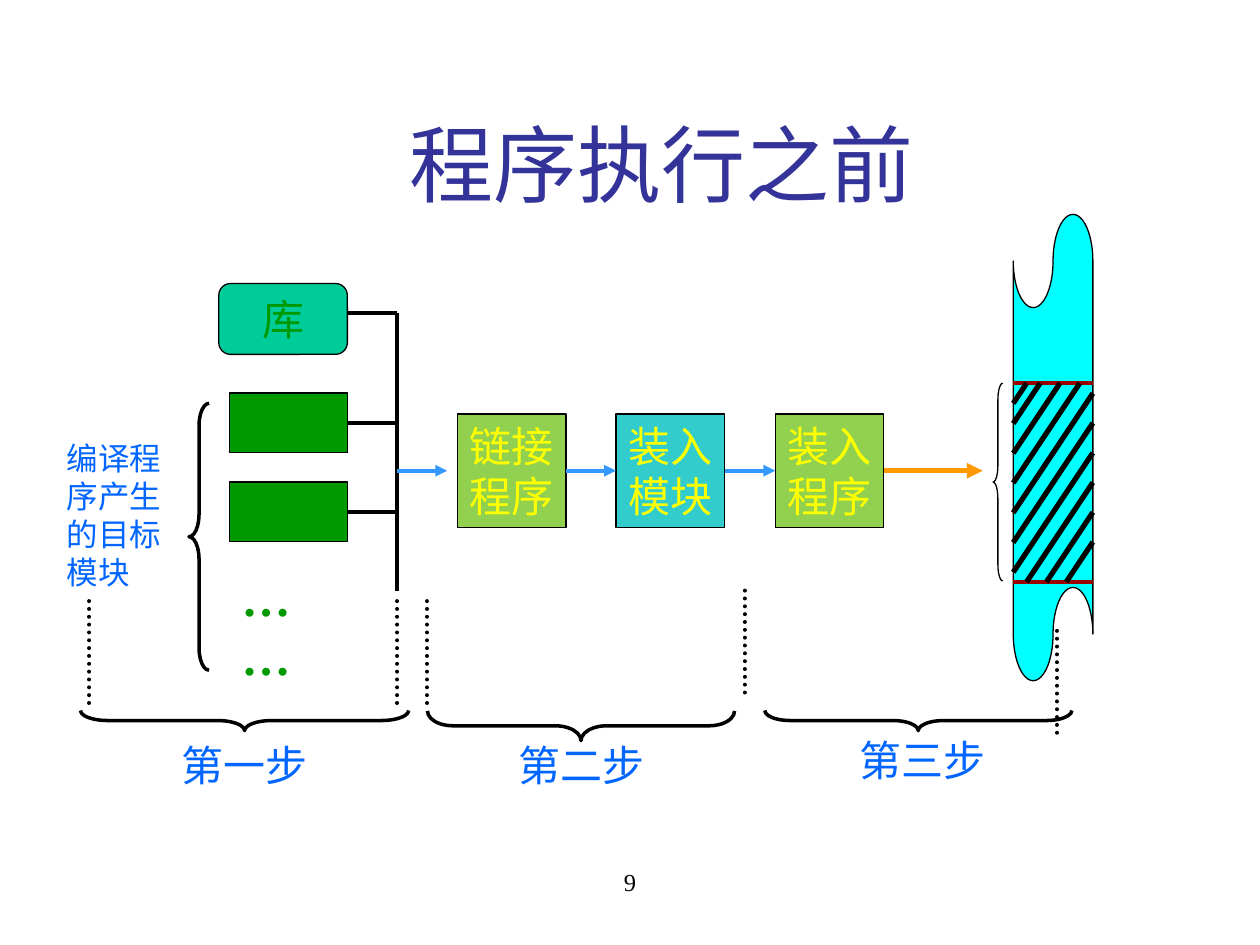
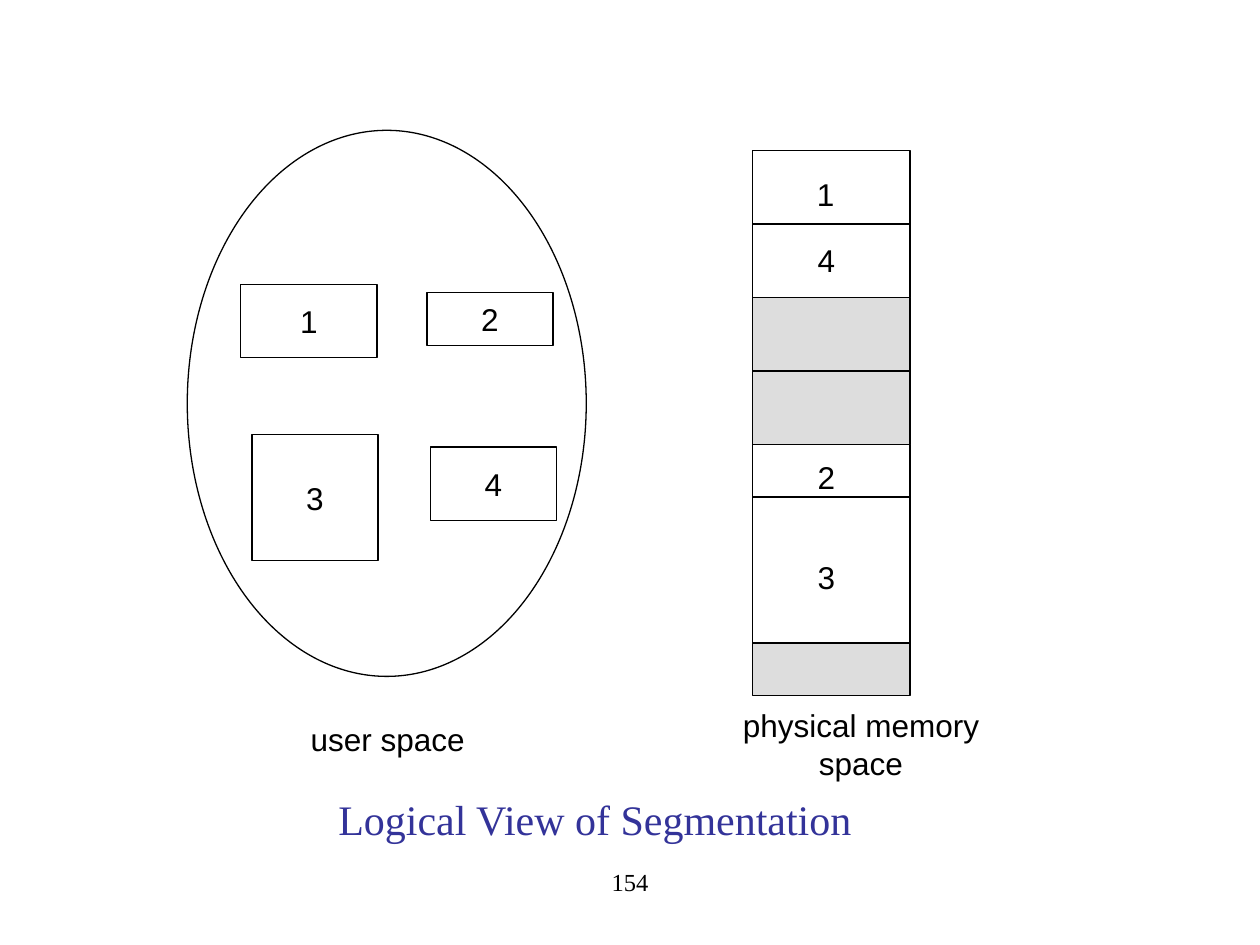
from lxml import etree
from pptx import Presentation
from pptx.dml.color import RGBColor
from pptx.enum.dml import MSO_LINE
from pptx.enum.shapes import MSO_CONNECTOR, MSO_SHAPE
from pptx.enum.text import MSO_ANCHOR, PP_ALIGN
from pptx.oxml.ns import qn
from pptx.util import Pt

RECTANGLE = MSO_SHAPE.RECTANGLE
ROUNDED = MSO_SHAPE.ROUNDED_RECTANGLE
ELLIPSE = MSO_SHAPE.OVAL
TAPE = MSO_SHAPE.FLOWCHART_PUNCHED_TAPE
BRACE = MSO_SHAPE.LEFT_BRACE
STRAIGHT = MSO_CONNECTOR.STRAIGHT
DOTTED = MSO_LINE.ROUND_DOT
LEFT, CENTER = PP_ALIGN.LEFT, PP_ALIGN.CENTER
TOP, MIDDLE = MSO_ANCHOR.TOP, MSO_ANCHOR.MIDDLE
SERIF, SANS, CHINESE = "Times New Roman", "Arial", "Noto Sans CJK SC"

COLORS = {
    "title": "333399",
    "black": "000000",
    "white": "FFFFFF",
    "grey": "DDDDDD",
    "library": "00CC99",
    "object": "009900",
    "program": "92D050",
    "module": "33CCCC",
    "yellow": "FFFF00",
    "memory": "00FFFF",
    "border": "990000",
    "flow": "3399FF",
    "load": "FF9900",
    "label": "0066FF",
}


def write_text(frame, text, size=18, color="black", font=SERIF, bold=False,
               align=CENTER, anchor=MIDDLE, wrap=False):
    frame.word_wrap = wrap
    frame.vertical_anchor = anchor
    frame.margin_left = frame.margin_right = Pt(7.2)
    frame.margin_top = frame.margin_bottom = Pt(3.6)
    frame.text = text
    for paragraph in frame.paragraphs:
        paragraph.alignment = align
        for run in paragraph.runs:
            run.font.name = font
            run.font.size = Pt(size)
            run.font.bold = bold
            run.font.color.rgb = RGBColor.from_string(COLORS[color])


def draw_line(slide, x1, y1, x2, y2, color="black", width=2.25, arrow=False, dotted=False):
    connector = slide.shapes.add_connector(STRAIGHT, Pt(x1), Pt(y1), Pt(x2), Pt(y2))
    connector.line.color.rgb = RGBColor.from_string(COLORS[color])
    connector.line.width = Pt(width)
    properties = connector.line._get_or_add_ln()
    if dotted:
        connector.line.dash_style = DOTTED
        properties.set("cap", "rnd")
    if arrow:
        etree.SubElement(properties, qn("a:tailEnd"), type="triangle")
    etree.SubElement(connector._element.spPr, qn("a:effectLst"))
    return connector


presentation = Presentation()
presentation.slide_width = Pt(720)
presentation.slide_height = Pt(540)
title_layout = presentation.slide_layouts[5]

slides = []
for title, left, top, height, size, font, number in [
    ("程序执行之前", 72, 48, 90, 48, CHINESE, "9"),
    ("Logical View of Segmentation", 34, 440.5, 55, 24, SERIF, "154"),
]:
    slide = presentation.slides.add_slide(title_layout)
    heading = slide.shapes.title
    heading.left, heading.top = Pt(left), Pt(top)
    heading.width, heading.height = Pt(612), Pt(height)
    write_text(heading.text_frame, title, size=size, color="title", font=font, wrap=True)
    footer = slide.shapes.add_textbox(Pt(246), Pt(492), Pt(228), Pt(36))
    write_text(footer.text_frame, number, size=14, anchor=TOP, wrap=True)
    slides.append(slide)
steps, segments = slides

memory_left, memory_width = 579, 45.5
column_left, column_width = 430, 90
program_text = {"size": 24, "color": "yellow"}
segment_text = {"font": SANS}

blocks = {}
for slide, name, kind, left, top, width, height, fill, text, text_format in [
    (steps, "library", ROUNDED, 125, 162, 73.5, 40.5, "library", "库", {"size": 24, "color": "object"}),
    (steps, "first object", RECTANGLE, 131, 224.5, 67.5, 34, "object", "", {}),
    (steps, "second object", RECTANGLE, 131, 275.5, 67.5, 34, "object", "", {}),
    (steps, "linker", RECTANGLE, 261.5, 236.5, 62, 65, "program", "链接\n程序", program_text),
    (steps, "load module", RECTANGLE, 352, 236.5, 62, 65, "module", "装入\n模块", program_text),
    (steps, "loader", RECTANGLE, 443, 236.5, 62, 65, "program", "装入\n程序", program_text),
    (steps, "memory", TAPE, memory_left, 122.5, memory_width, 266.5, "memory", "", {}),
    (segments, "user space", ELLIPSE, 107, 74.5, 228, 312, "white", "", {}),
    (segments, "segment 1", RECTANGLE, 137.5, 162.5, 78, 42, "white", "1", segment_text),
    (segments, "segment 2", RECTANGLE, 244, 167, 72, 30.5, "white", "2", segment_text),
    (segments, "segment 3", RECTANGLE, 144, 248.5, 72, 72, "white", "3", segment_text),
    (segments, "segment 4", RECTANGLE, 246, 255.5, 72, 42, "white", "4", segment_text),
    (segments, "upper used", RECTANGLE, column_left, 86, column_width, 84, "white", "", {}),
    (segments, "upper free", RECTANGLE, column_left, 170, column_width, 84, "grey", "", {}),
    (segments, "lower used", RECTANGLE, column_left, 254, column_width, 113.5, "white", "", {}),
    (segments, "lower free", RECTANGLE, column_left, 367.5, column_width, 30, "grey", "", {}),
]:
    shape = slide.shapes.add_shape(kind, Pt(left), Pt(top), Pt(width), Pt(height))
    shape.shadow.inherit = False
    shape.fill.solid()
    shape.fill.fore_color.rgb = RGBColor.from_string(COLORS[fill])
    shape.line.color.rgb = RGBColor.from_string(COLORS["black"])
    shape.line.width = Pt(0.75)
    if text:
        write_text(shape.text_frame, text, **text_format)
    blocks[name] = shape

for left, top, width, height, rotation, line_width in [
    (108, 230.5, 11.5, 152.5, 0, 2),
    (134, 318, 11.5, 187.5, 270, 2),
    (323.5, 327, 17, 175.5, 270, 2),
    (519, 324, 11.5, 175.5, 270, 2),
    (567.5, 219, 5.5, 113, 0, 0.75),
]:
    brace = steps.shapes.add_shape(BRACE, Pt(left), Pt(top), Pt(width), Pt(height))
    brace.adjustments[0] = height / 12 / width
    brace.rotation = rotation
    brace.shadow.inherit = False
    brace.fill.background()
    brace.line.color.rgb = RGBColor.from_string(COLORS["black"])
    brace.line.width = Pt(line_width)

bus_x, flow_y = 227, 269
draw_line(steps, bus_x, 179, bus_x, 338)
draw_line(steps, 198.5, 179, bus_x, 179)
for name, y in [("first object", 241.5), ("second object", 292.5)]:
    draw_line(steps, 198.5, y, bus_x, y).begin_connect(blocks[name], 3)

draw_line(steps, bus_x, flow_y, 255.5, flow_y, color="flow", arrow=True)
for source, target in [("linker", "load module"), ("load module", "loader")]:
    arrow = draw_line(steps, 0, flow_y, 0, flow_y, color="flow", arrow=True)
    arrow.begin_connect(blocks[source], 3)
    arrow.end_connect(blocks[target], 1)
load_arrow = draw_line(steps, 505, flow_y, 561.5, flow_y, color="load", width=3, arrow=True)
load_arrow.begin_connect(blocks["loader"], 3)

for x, y in [(51, 343.5), (bus_x, 343.5), (244, 343.5), (425.5, 337.5), (604, 360.5)]:
    draw_line(steps, x, y, x, y + 62.5, dotted=True)

memory_right = memory_left + memory_width
loaded_top, loaded_bottom, slope = 219, 332.5, 1.5
for y in (loaded_top, loaded_bottom):
    draw_line(steps, memory_left, y, memory_right, y, color="border")
for y in [230.5] + [242 + 17 * index for index in range(9)]:
    start_x = min(memory_right, memory_left + (y - loaded_top) / slope)
    end_x = max(memory_left, memory_left + (y - loaded_bottom) / slope)
    start_y = y - (start_x - memory_left) * slope
    end_y = y - (end_x - memory_left) * slope
    draw_line(steps, start_x, start_y, end_x, end_y, width=3)

for y in (128, 212, 284):
    draw_line(segments, column_left, y, column_left + column_width, y, width=0.75)

step_text = {"size": 24, "color": "label", "align": LEFT, "anchor": TOP}
for slide, text, left, top, width, height, text_format in [
    (steps, "……", 131, 321, 70, 41,
     {"size": 28, "color": "object", "bold": True, "align": LEFT, "anchor": TOP}),
    (steps, "第一步", 96.5, 419, 86.5, 36, step_text),
    (steps, "第二步", 289, 419, 86.5, 36, step_text),
    (steps, "第三步", 484, 416, 86.5, 36, step_text),
    (steps, "编译程序产生的目标模块", 31, 247.5, 75, 93.5,
     {"color": "label", "align": LEFT, "anchor": TOP, "wrap": True}),
    (segments, "1", 459.5, 96, 24.5, 29, segment_text),
    (segments, "4", 460, 134, 24.5, 29, segment_text),
    (segments, "2", 460, 258, 24.5, 29, segment_text),
    (segments, "3", 460, 315, 24.5, 29, segment_text),
    (segments, "user space ", 168, 407.5, 107, 29, segment_text),
    (segments, "physical memory space", 391, 410.5, 202, 29, segment_text),
]:
    label = slide.shapes.add_textbox(Pt(left), Pt(top), Pt(width), Pt(height))
    write_text(label.text_frame, text, **text_format)

presentation.save("out.pptx")
